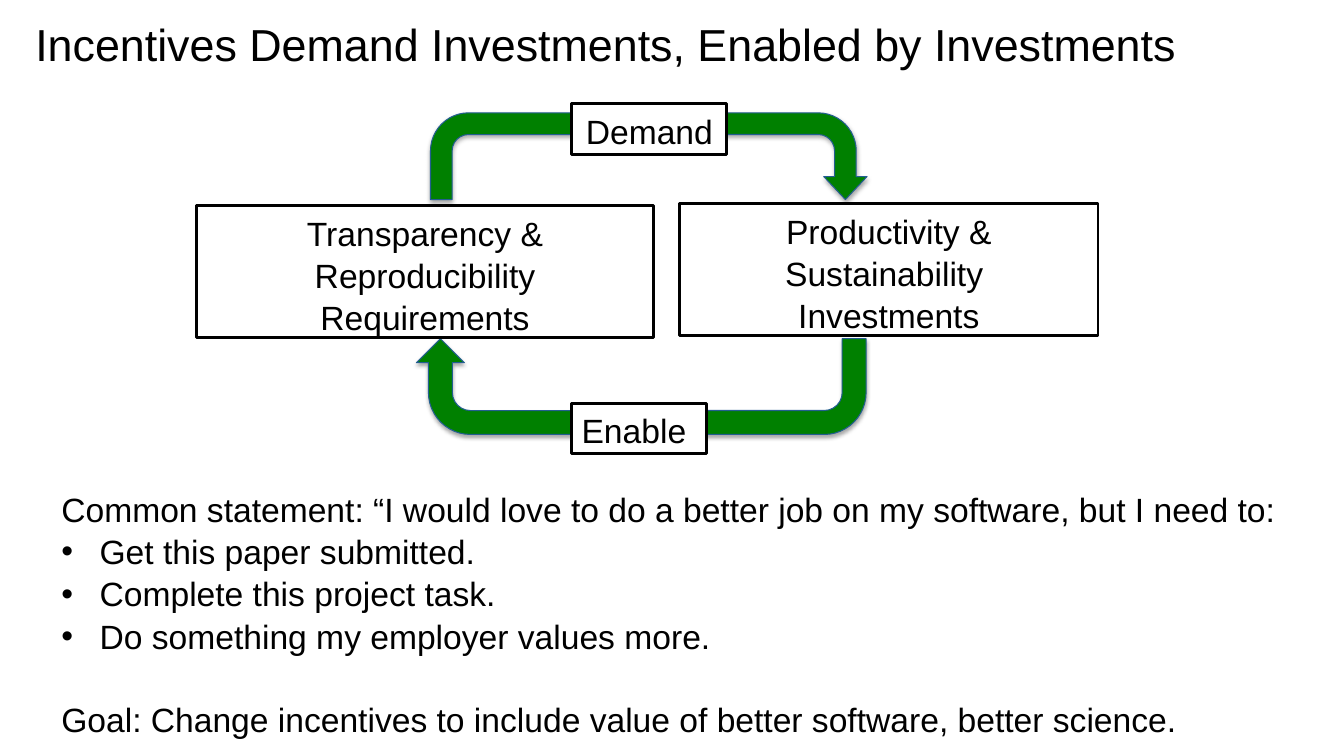
from lxml import etree
from pptx import Presentation
from pptx.dml.color import RGBColor
from pptx.enum.shapes import MSO_SHAPE
from pptx.enum.text import MSO_ANCHOR, PP_ALIGN
from pptx.oxml import parse_xml
from pptx.oxml.ns import nsdecls, qn
from pptx.util import Inches, Pt

RECT, TURN = MSO_SHAPE.RECTANGLE, MSO_SHAPE.U_TURN_ARROW
LEFT, MID = PP_ALIGN.LEFT, PP_ALIGN.CENTER
TOP, CENTER = MSO_ANCHOR.TOP, MSO_ANCHOR.MIDDLE
COLORS = {"ink": "000000", "paper": "FFFFFF", "green": "008000", "edge": "235E91"}
FONT = "Arial"

TITLE = "Incentives Demand Investments, Enabled by Investments"
ARROWS = [
    ((4.27, 1.12, 4.33, 0.86), 0, (0.25, 0.25, 0.265, 0.438, 1)),
    ((4.13, 3.36, 4.46, 0.95), 180, (0.25, 0.25, 0.25, 0.438, 1)),
]
BOXES = [
    ("Transparency & Reproducibility Requirements", (1.95, 2.04, 4.53, 1.31), MID),
    ("Productivity & Sustainability \vInvestments", (6.74, 2.02, 4.15, 1.31), MID),
    ("Demand", (5.67, 1.03, 1.54, 0.5), MID),
    ("Enable", (5.67, 4, 1.34, 0.5), LEFT),
]
LEAD = "Common statement: “I would love to do a better job on my software, but I need to:"
NEEDS = [
    "Get this paper submitted.",
    "Complete this project task.",
    "Do something my employer values more.",
]
GOAL = "Goal: Change incentives to include value of better software, better science."


def color(name):
    return RGBColor.from_string(COLORS[name])


def style(par, size=24, align=LEFT, space=1.05):
    par.alignment = align
    par.line_spacing = space
    par.font.size = Pt(size)
    par.font.name = FONT
    par.font.color.rgb = color("ink")


def paint(shape, fill, line, width):
    shape.shadow.inherit = False
    shape.fill.solid()
    shape.fill.fore_color.rgb = color(fill)
    shape.line.color.rgb = color(line)
    shape.line.width = Pt(width)


def bullet(par):
    props = par._p.get_or_add_pPr()
    props.set("marL", str(Inches(0.38)))
    props.set("indent", str(Inches(-0.38)))
    etree.SubElement(props, qn("a:buFont")).set("typeface", FONT)
    etree.SubElement(props, qn("a:buChar")).set("char", "•")


def shade(shape):
    effects = shape._element.spPr.find(qn("a:effectLst"))
    effects.append(parse_xml(
        f'<a:outerShdw {nsdecls("a")} blurRad="{Pt(3.1)}" dist="{Pt(1.8)}" '
        f'dir="5400000" rotWithShape="0"><a:srgbClr val="{COLORS["ink"]}">'
        '<a:alpha val="35000"/></a:srgbClr></a:outerShdw>'))


def main():
    deck = Presentation()
    deck.slide_width, deck.slide_height = Inches(13.33), Inches(7.5)
    slide = deck.slides.add_slide(deck.slide_layouts[5])
    shapes = slide.shapes

    title = shapes.title
    title.left, title.top = Inches(0.25), Inches(0.19)
    title.width, title.height = Inches(11.61), Inches(0.56)
    title.text_frame.text = TITLE
    title.text_frame.vertical_anchor = CENTER
    style(title.text_frame.paragraphs[0], 32, space=0.85)

    for place, turn, bends in ARROWS:
        arrow = shapes.add_shape(TURN, *map(Inches, place))
        arrow.rotation = turn
        for i, bend in enumerate(bends):
            arrow.adjustments[i] = bend
        paint(arrow, "green", "edge", 0.75)
        shade(arrow)

    for text, place, align in BOXES:
        box = shapes.add_shape(RECT, *map(Inches, place))
        paint(box, "paper", "ink", 2)
        frame = box.text_frame
        frame.word_wrap = True
        frame.vertical_anchor = TOP
        frame.text = text
        style(frame.paragraphs[0], align=align)

    body = shapes.add_textbox(*map(Inches, (0.51, 4.78, 12.4, 2.52))).text_frame
    body.word_wrap = True
    body.text = "\n".join([LEAD, *NEEDS, GOAL])
    for par in body.paragraphs:
        if par.text in NEEDS:
            bullet(par)
        style(par)
    body.paragraphs[-1].space_before = Pt(29)

    deck.save("out.pptx")


if __name__ == "__main__":
    main()
